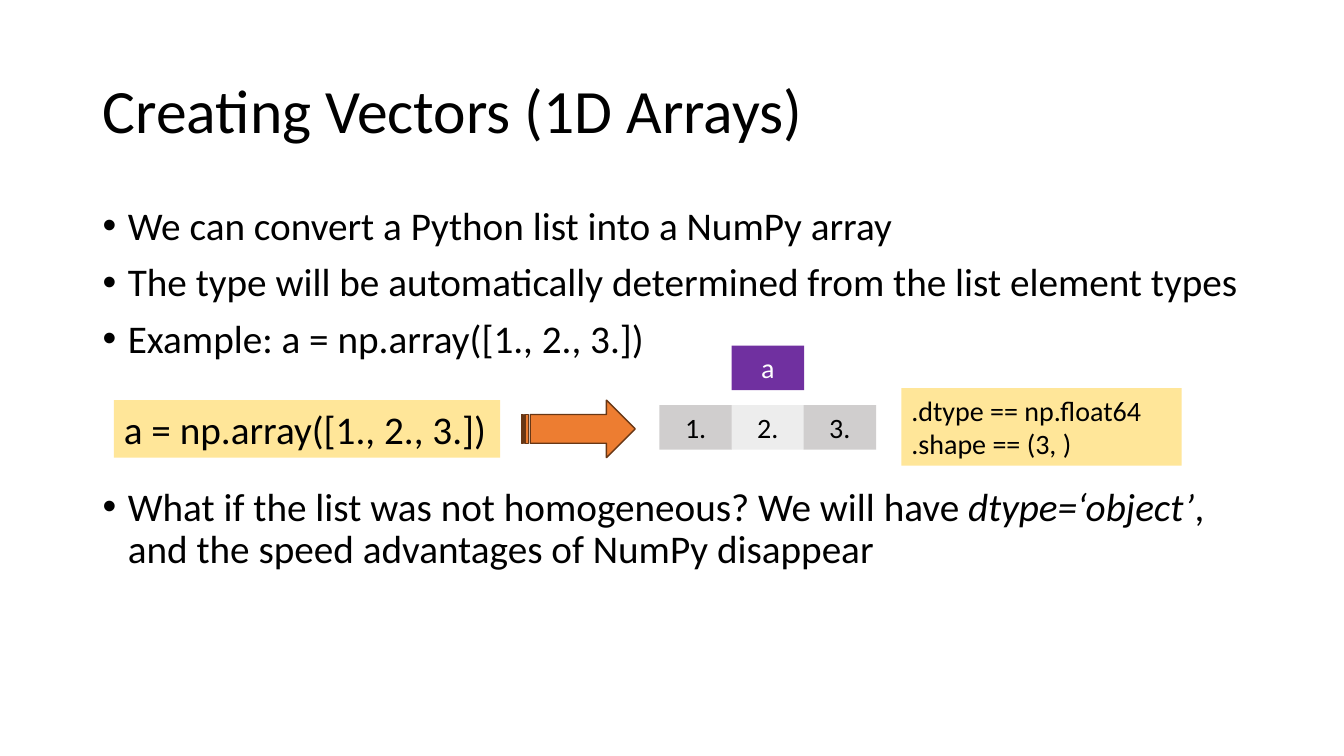
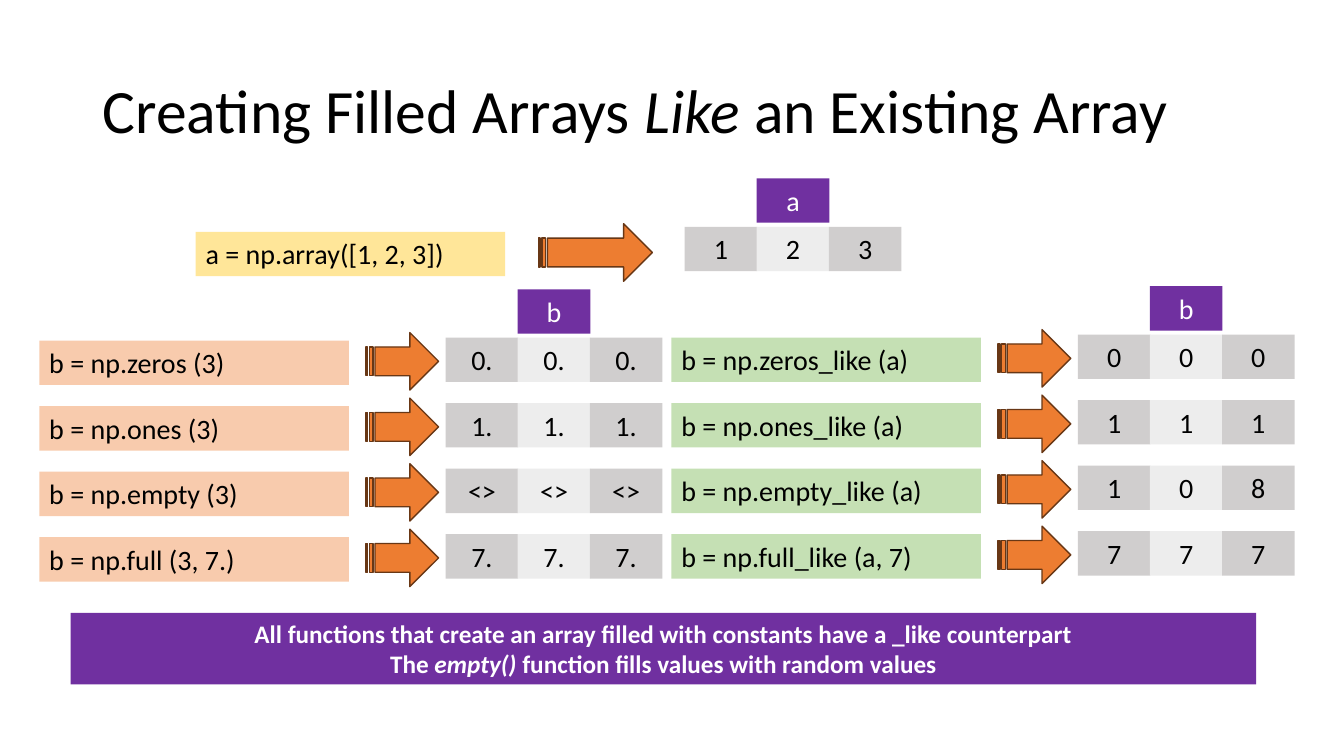
from lxml import etree
from pptx import Presentation
from pptx import util as u
from pptx.dml.color import RGBColor
from pptx.enum import shapes, text
from pptx.oxml import ns

FONT = "Calibri"
COLORS = {
    "text": "000000", "light": "FFFFFF", "accent": "7030A0",
    "source": "FFE699", "plain": "F8CBAD", "like": "C5E0B4",
    "cell": "D0CECE", "cell_mid": "EDEDED",
    "arrow": "ED7D31", "arrow_line": "683715",
}
CELL_W, CELL_H = 0.72, 0.44
CODE_W, ARROW_H, ROW_PITCH = 3.07, 0.57, 0.65


def rgb(name):
    return RGBColor.from_string(COLORS[name])


def write(frame, lines, size, color="text", bold=None, align=text.PP_ALIGN.LEFT):
    """Fill a frame with one paragraph per line; *stars* enclose italics."""
    frame.word_wrap = True
    for i, line in enumerate(lines):
        paragraph = frame.paragraphs[0] if i == 0 else frame.add_paragraph()
        paragraph.alignment = align
        for j, part in enumerate(line.split("*")):
            run = paragraph.add_run()
            run.text = part
            font = run.font
            font.name, font.size, font.bold = FONT, u.Pt(size), bold
            font.color.rgb = rgb(color)
            if j % 2:
                font.italic = True


def text_area(slide, left, top, width, height):
    return slide.shapes.add_textbox(*map(u.Inches, (left, top, width, height))).text_frame


def title(slide, heading):
    frame = text_area(slide, 0.92, 0.4, 11.5, 1.45)
    write(frame, [heading], 44)
    frame.vertical_anchor = text.MSO_ANCHOR.MIDDLE
    frame.paragraphs[0].line_spacing = 0.9


def bullets(slide, left, top, width, height, items, gaps):
    frame = text_area(slide, left, top, width, height)
    write(frame, items, 28)
    for paragraph, gap in zip(frame.paragraphs, gaps):
        paragraph.line_spacing = 0.9
        paragraph.space_before = u.Pt(gap)
        props = paragraph._p.get_or_add_pPr()
        props.set("marL", str(u.Inches(0.25)))
        props.set("indent", str(-u.Inches(0.25)))
        etree.SubElement(props, ns.qn("a:buFont")).set("typeface", "Arial")
        etree.SubElement(props, ns.qn("a:buChar")).set("char", "•")


def box(slide, left, top, width, height, fill, lines, size=20, **style):
    panel = slide.shapes.add_shape(
        shapes.MSO_SHAPE.RECTANGLE, *map(u.Inches, (left, top, width, height)))
    panel.shadow.inherit = False
    panel.fill.solid()
    panel.fill.fore_color.rgb = rgb(fill)
    panel.line.fill.background()
    write(panel.text_frame, lines, size, **style)
    panel.text_frame.vertical_anchor = text.MSO_ANCHOR.TOP
    panel.text_frame.auto_size = text.MSO_AUTO_SIZE.SHAPE_TO_FIT_TEXT


def arrow(slide, left, top, width):
    pointer = slide.shapes.add_shape(
        shapes.MSO_SHAPE.STRIPED_RIGHT_ARROW,
        *map(u.Inches, (left, top, width, ARROW_H)))
    pointer.shadow.inherit = False
    pointer.fill.solid()
    pointer.fill.fore_color.rgb = rgb("arrow")
    pointer.line.color.rgb = rgb("arrow_line")
    pointer.line.width = u.Pt(1)


def array_cells(slide, left, top, values, label=None, label_rise=0.48):
    """Three cells side by side, with an optional name tag over the middle."""
    centre = text.PP_ALIGN.CENTER
    pitch = CELL_W - 0.005
    for i, value in enumerate(values):
        box(slide, left + i * pitch, top, CELL_W, CELL_H,
            "cell_mid" if i % 2 else "cell", [value], align=centre)
    if label:
        box(slide, left + pitch, top - label_rise, CELL_W, CELL_H, "accent",
            [label], color="light", align=centre)


def example(slide, left, top, code, values, fill, label=None, width=CODE_W,
            height=CELL_H, size=20, arrow_w=0.72, gaps=(0.17, 0.07),
            arrow_dy=-0.08, cells_dy=-0.03, label_rise=0.48):
    """Code box, arrow and resulting array in one row."""
    box(slide, left, top, width, height, fill, [code], size)
    arrow_left = left + width + gaps[0]
    arrow(slide, arrow_left, top + arrow_dy, arrow_w)
    array_cells(slide, arrow_left + arrow_w + gaps[1], top + cells_dy,
                values, label, label_rise)


def example_column(slide, left, top, fill, rows):
    for i, (code, values) in enumerate(rows):
        example(slide, left, top + i * ROW_PITCH, code, values.split(), fill,
                label=None if i else "b")


def vectors_slide(slide):
    title(slide, "Creating Vectors (1D Arrays)")
    # The wide gap before the last bullet leaves room for the example row
    bullets(slide, 0.92, 2, 11.5, 4.76, [
        "We can convert a Python list into a NumPy array",
        "The type will be automatically determined from the list element types",
        "Example: a = np.array([1., 2., 3.])",
        "What if the list was not homogeneous? We will have *dtype=‘object’*, "
        "and the speed advantages of NumPy disappear",
    ], gaps=(10, 10, 10, 90))
    example(slide, 1.13, 3.97, "a = np.array([1., 2., 3.])", ["1.", "2.", "3."],
            "source", "a", width=3.83, height=0.57, size=28, arrow_w=1.13,
            gaps=(0.21, 0.24), arrow_dy=0, cells_dy=0.05, label_rise=0.59)
    # Attributes of the resulting array
    box(slide, 8.94, 3.85, 2.78, 0.77, "source",
        [".dtype == np.float64", ".shape == (3, )"])


def filled_arrays_slide(slide):
    title(slide, "Creating Filled Arrays *Like* an Existing Array")
    # Existing array
    example(slide, 1.94, 2.3, "a = np.array([1, 2, 3])", ["1", "2", "3"],
            "source", "a", arrow_w=1.13, gaps=(0.33, 0.32), cells_dy=-0.05)
    # Plain constructors and their counterparts
    example_column(slide, 0.39, 3.38, "plain", [
        ("b = np.zeros (3)", "0. 0. 0."),
        ("b = np.ones (3)", "1. 1. 1."),
        ("b = np.empty (3)", "<> <> <>"),
        ("b = np.full (3, 7.)", "7. 7. 7."),
    ])
    example_column(slide, 6.66, 3.35, "like", [
        ("b = np.zeros_like (a)", "0 0 0"),
        ("b = np.ones_like (a)", "1 1 1"),
        ("b = np.empty_like (a)", "1 0 8"),
        ("b = np.full_like (a, 7)", "7 7 7"),
    ])
    # Summary band
    box(slide, 0.7, 6.08, 11.76, 0.71, "accent", [
        "All functions that create an array filled with constants "
        "have a _like counterpart",
        "The *empty() *function fills values with random values",
    ], 18, color="light", bold=True, align=text.PP_ALIGN.CENTER)


def main():
    deck = Presentation()
    deck.slide_width, deck.slide_height = u.Inches(13.33), u.Inches(7.5)
    for build in (vectors_slide, filled_arrays_slide):
        build(deck.slides.add_slide(deck.slide_layouts[6]))
    deck.save("out.pptx")


if __name__ == "__main__":
    main()
